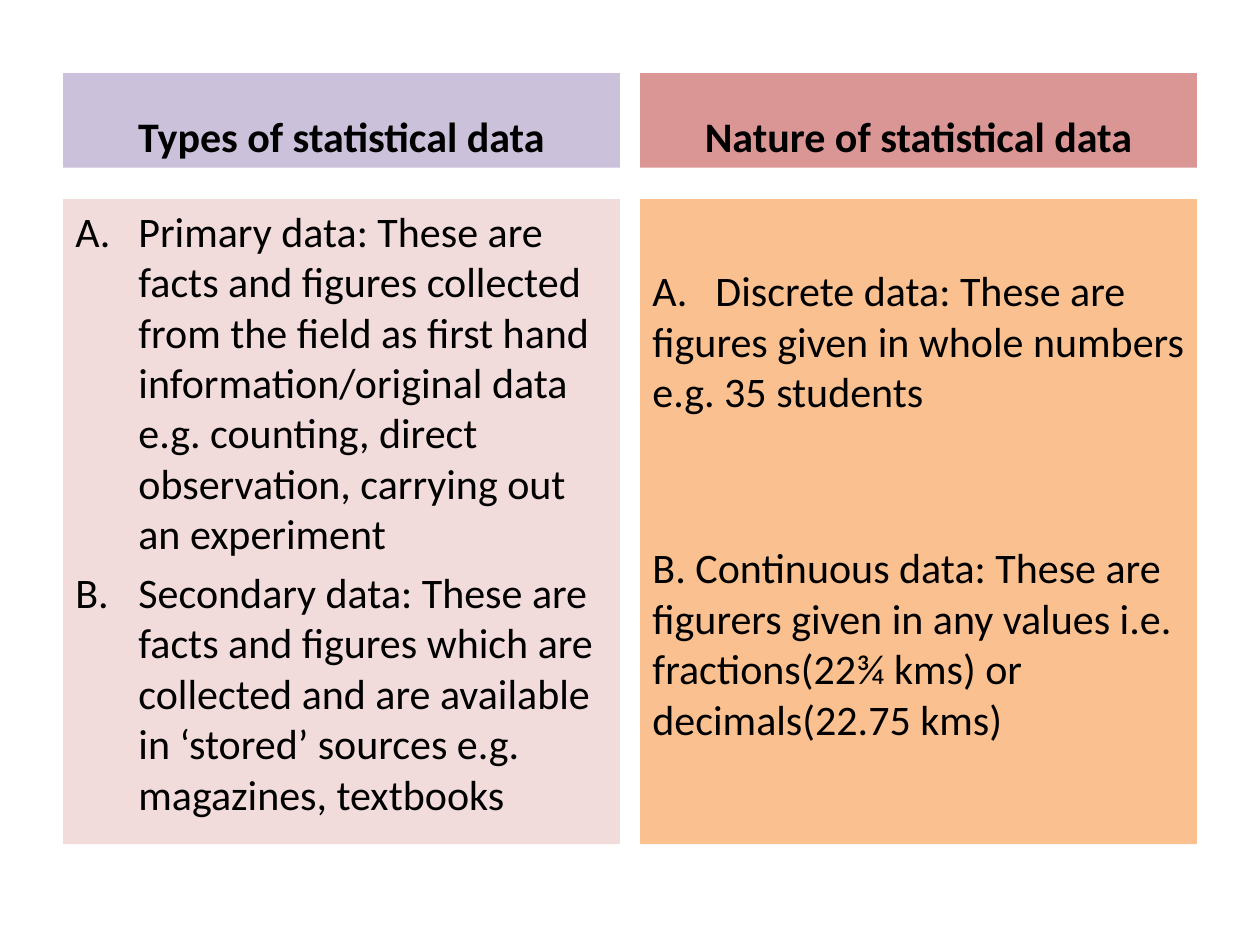
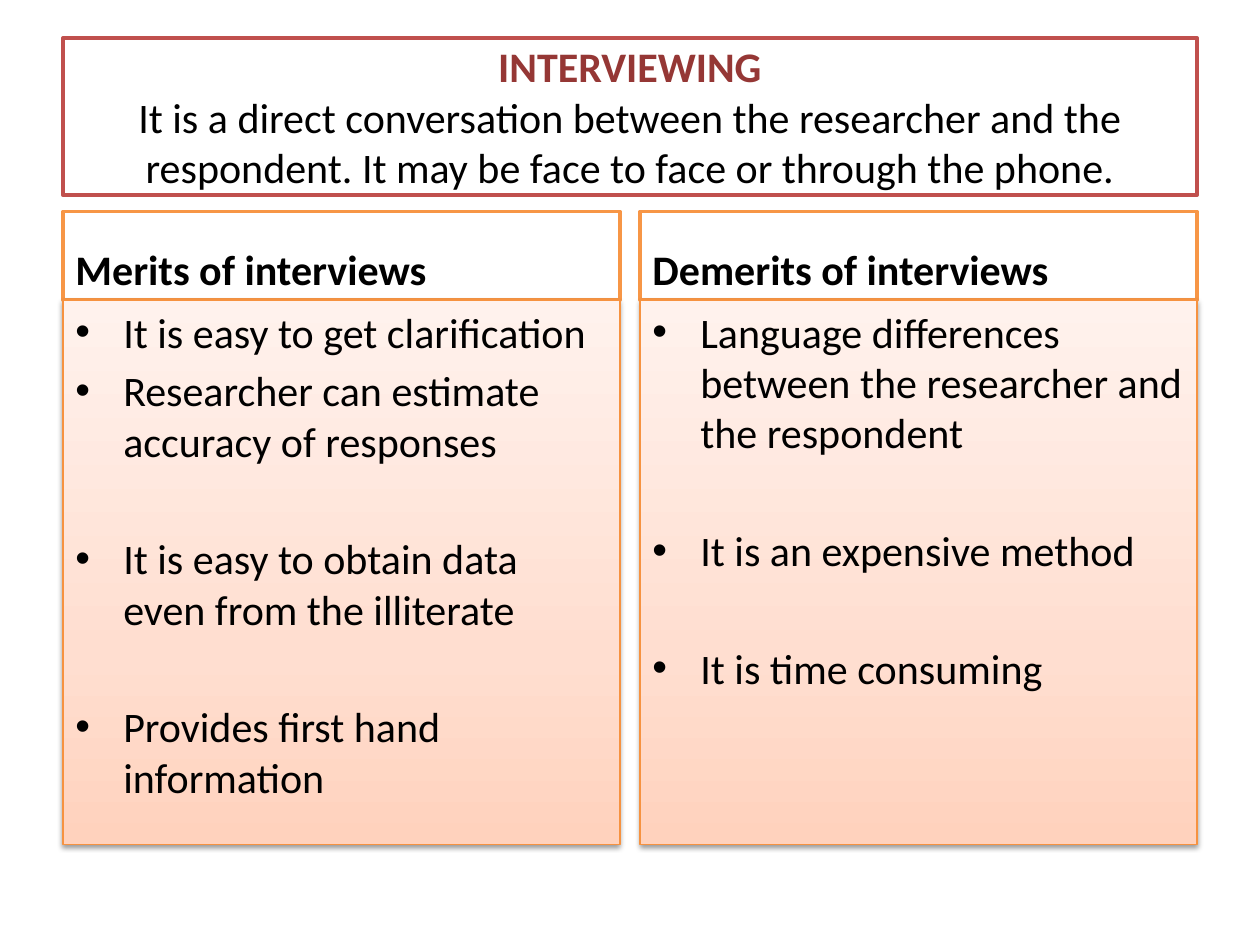
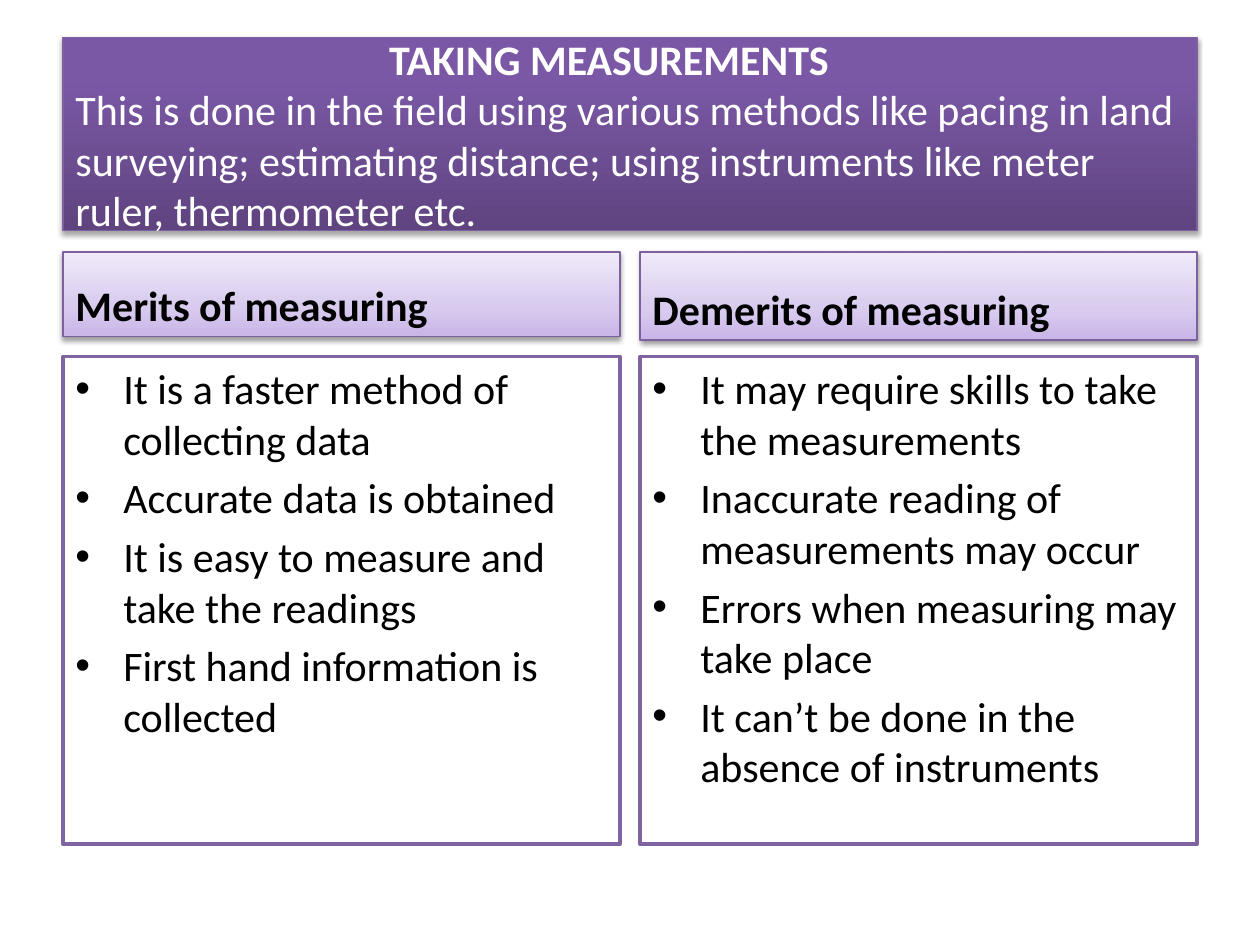
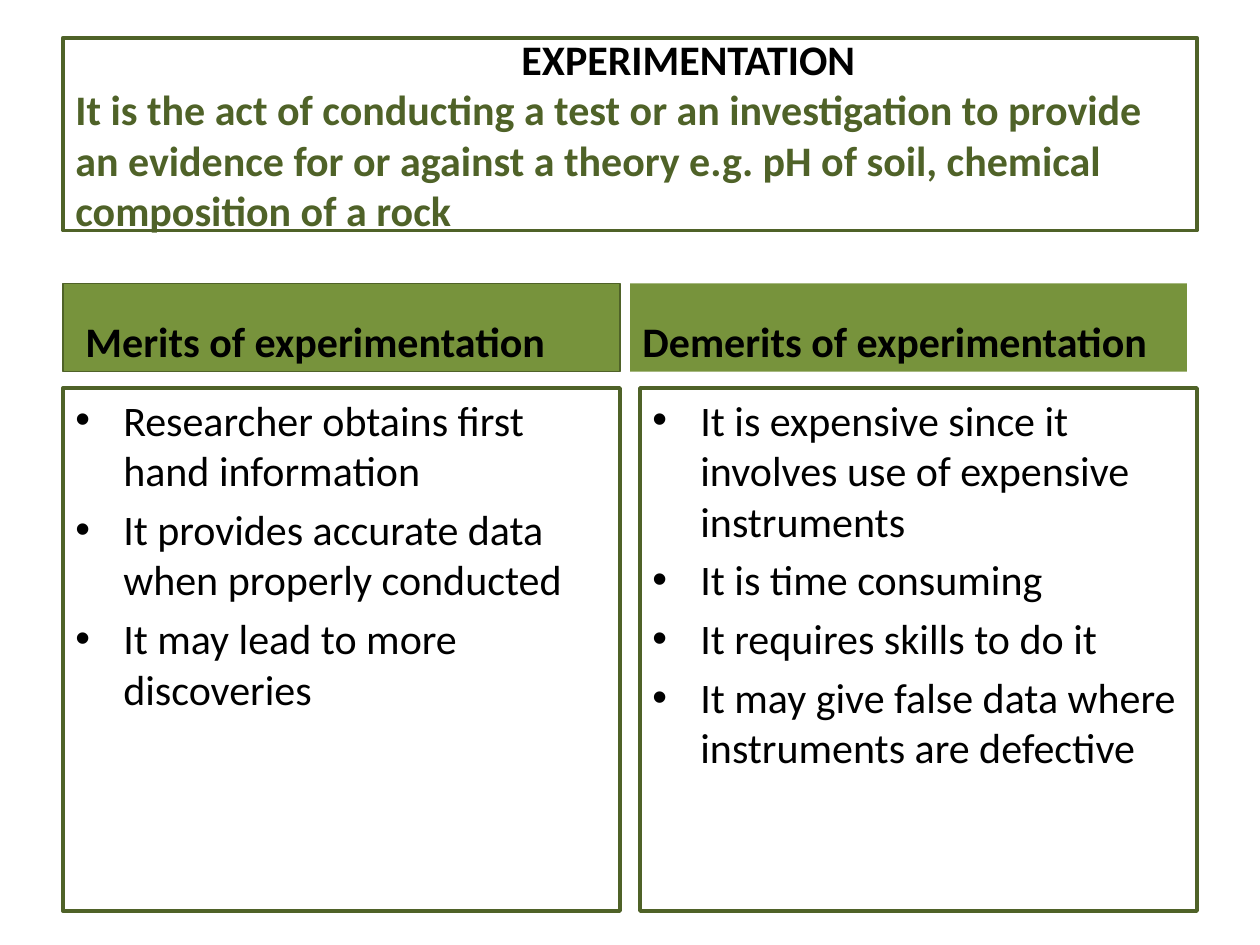
from dataclasses import dataclass, replace
from typing import Optional, Union

from lxml.etree import SubElement
from pptx import Presentation
from pptx.dml.color import RGBColor
from pptx.enum.shapes import MSO_SHAPE as Preset
from pptx.enum.text import MSO_ANCHOR as Anchor, PP_ALIGN as Align
from pptx.oxml.ns import qn
from pptx.util import Inches, Pt

BLACK = RGBColor(0x00, 0x00, 0x00)
WHITE = RGBColor(0xFF, 0xFF, 0xFF)
LILAC = RGBColor(0xCC, 0xC1, 0xDA)
ROSE = RGBColor(0xD9, 0x96, 0x94)
BLUSH = RGBColor(0xF2, 0xDC, 0xDB)
PEACH = RGBColor(0xFA, 0xC0, 0x90)
RED = RGBColor(0xC0, 0x50, 0x4D)
DARK_RED = RGBColor(0x95, 0x37, 0x35)
ORANGE = RGBColor(0xF7, 0x96, 0x46)
DEEP_ORANGE = RGBColor(0xF6, 0x92, 0x40)
PURPLE = RGBColor(0x80, 0x64, 0xA2)
SOFT_PURPLE = RGBColor(0x7D, 0x60, 0xA0)
GREEN = RGBColor(0x77, 0x93, 0x3C)
DARK_GREEN = RGBColor(0x4F, 0x62, 0x28)

ORANGE_FADE = ((0, RGBColor(0xFF, 0xD2, 0xBD)), (35, RGBColor(0xFF, 0xDE, 0xD0)),
               (100, RGBColor(0xFF, 0xF2, 0xED)))
LILAC_FADE = ((0, RGBColor(0xC9, 0xB5, 0xE8)), (35, RGBColor(0xD8, 0xCB, 0xEE)),
              (100, RGBColor(0xF0, 0xEA, 0xF9)))
PURPLE_FADE = ((0, RGBColor(0x5F, 0x44, 0x80)), (80, RGBColor(0x7B, 0x58, 0xA6)),
               (100, RGBColor(0x7C, 0x57, 0xA8)))

LEFT, RIGHT, COLUMN_WIDTH, TITLE_WIDTH = 0.5, 5.08, 4.42, 9
TITLE_TOP = 0.3
GAP = 4.8
ROW = 33.6
WIDE_GAP = GAP + ROW
BASE_FONT = {"name": "Calibri", "size": Pt(24)}


@dataclass(frozen=True)
class Shadow:
    """A soft shadow that falls straight down."""
    opacity: int
    distance: float
    blur: float = 3.1


@dataclass(frozen=True)
class Look:
    """Fill, outline and shadow of a panel."""
    fill: Union[RGBColor, tuple, None] = None
    outline: Optional[RGBColor] = None
    weight: float = 0.75
    shadow: Optional[Shadow] = None


@dataclass(frozen=True)
class Para:
    """One paragraph with its format."""
    text: str
    bold: bool = False
    color: RGBColor = BLACK
    align: Align = Align.LEFT
    before: float = 0
    margin: float = 0
    marker: str = ""
    tab: float = 0


@dataclass(frozen=True)
class Panel:
    """A rectangle with text; lengths are in inches."""
    left: float
    top: float
    width: float
    height: float
    look: Look
    paras: tuple
    anchor: Anchor = Anchor.TOP
    inset_top: float = 0.05


SOFT = Shadow(38, 1.6)
ORANGE_BOX = Look(WHITE, ORANGE, 2)
ORANGE_GLOW = Look(ORANGE_FADE, DEEP_ORANGE, shadow=SOFT)
LILAC_GLOW = Look(LILAC_FADE, SOFT_PURPLE, shadow=SOFT)
PURPLE_GLOW = Look(PURPLE_FADE, SOFT_PURPLE, shadow=Shadow(35, 1.8))
PURPLE_BOX = Look(WHITE, PURPLE, 2)
GREEN_BOX = Look(None, DARK_GREEN, 2.25)


def title(height: float, look: Look, *paras: Para) -> Panel:
    """Describe the full-width title panel."""
    return Panel(LEFT, TITLE_TOP, TITLE_WIDTH, height, look, paras, Anchor.MIDDLE)


def heading(left: float, top: float, height: float, look: Look, text: str,
            align: Align = Align.LEFT, margin: float = 0) -> Panel:
    """Describe the bold heading of a column."""
    label = Para(text, bold=True, align=align, margin=margin)
    return Panel(left, top, COLUMN_WIDTH, height, look, (label,), Anchor.BOTTOM)


def body(left: float, top: float, height: float, look: Look, *paras: Para,
         inset_top: float = 0.05) -> Panel:
    """Describe the text panel of a column."""
    first = replace(paras[0], before=0)
    return Panel(left, top, COLUMN_WIDTH, height, look, (first, *paras[1:]),
                 inset_top=inset_top)


def bullets(*texts: str, gaps: tuple = ()) -> tuple:
    """Make bulleted paragraphs, with wide gaps before the given indexes."""
    return tuple(Para(text, before=WIDE_GAP if index in gaps else GAP,
                      margin=0.38, marker="•")
                 for index, text in enumerate(texts))


def lettered(*texts: str) -> tuple:
    """Make paragraphs numbered with capital letters."""
    return tuple(Para(text, before=GAP, margin=0.5, marker="A.") for text in texts)


def add_color(parent, color: RGBColor):
    """Append an sRGB colour element."""
    return SubElement(parent, qn("a:srgbClr"), val=str(color))


def paint(shape, look: Look) -> None:
    """Apply fill, outline and shadow."""
    if look.fill is None:
        shape.fill.background()
    elif isinstance(look.fill, RGBColor):
        shape.fill.solid()
        shape.fill.fore_color.rgb = look.fill
    else:
        shape.fill.gradient()
        shape.fill.gradient_angle = 90
        stops = shape._element.spPr.find(qn("a:gradFill")).find(qn("a:gsLst"))
        for stop in list(stops):
            stops.remove(stop)
        for position, color in look.fill:
            add_color(SubElement(stops, qn("a:gs"), pos=str(position * 1000)), color)
    if look.outline is None:
        shape.line.fill.background()
    else:
        shape.line.color.rgb = look.outline
        shape.line.width = Pt(look.weight)
    shape.shadow.inherit = False
    if look.shadow:
        effects = shape._element.spPr.find(qn("a:effectLst"))
        outer = SubElement(effects, qn("a:outerShdw"), blurRad=str(Pt(look.shadow.blur)),
                           dist=str(Pt(look.shadow.distance)), dir="5400000",
                           rotWithShape="0")
        SubElement(add_color(outer, BLACK), qn("a:alpha"),
                   val=str(look.shadow.opacity * 1000))


def write(paragraph, para: Para) -> None:
    """Fill a paragraph with formatted text."""
    props = paragraph._p.get_or_add_pPr()
    props.set("marL", str(Inches(para.margin)))
    props.set("indent", str(Inches(-para.margin if para.marker else 0)))
    if para.marker == "A.":
        SubElement(props, qn("a:buFont"), typeface="+mj-lt")
        SubElement(props, qn("a:buAutoNum"), type="alphaUcPeriod")
    elif para.marker:
        SubElement(props, qn("a:buFont"), typeface="Arial")
        SubElement(props, qn("a:buChar"), char=para.marker)
    else:
        SubElement(props, qn("a:buNone"))
    if para.tab:
        tabs = SubElement(props, qn("a:tabLst"))
        SubElement(tabs, qn("a:tab"), pos=str(Inches(para.tab)), algn="l")
    paragraph.alignment = para.align
    paragraph.space_before = Pt(para.before)
    run = paragraph.add_run()
    run.text = para.text
    for key, value in {**BASE_FONT, "bold": para.bold}.items():
        setattr(run.font, key, value)
    run.font.color.rgb = para.color


def draw(slide, panel: Panel) -> None:
    """Draw one panel on the slide."""
    shape = slide.shapes.add_shape(
        Preset.RECTANGLE, Inches(panel.left), Inches(panel.top),
        Inches(panel.width), Inches(panel.height))
    paint(shape, panel.look)
    frame = shape.text_frame
    settings = {"word_wrap": True, "vertical_anchor": panel.anchor,
                "margin_left": Inches(0.1), "margin_right": Inches(0.1),
                "margin_top": Inches(panel.inset_top), "margin_bottom": Inches(0.05)}
    for key, value in settings.items():
        setattr(frame, key, value)
    for index, para in enumerate(panel.paras):
        write(frame.add_paragraph() if index else frame.paragraphs[0], para)


DATA_KINDS = (
    heading(LEFT, 0.58, 0.75, Look(LILAC), "Types of statistical data", Align.CENTER),
    body(LEFT, 1.58, 5.12, Look(BLUSH), *lettered(
        "Primary data: These are facts and figures collected from the field as first "
        "hand information/original data e.g. counting, direct observation, carrying "
        "out an experiment",
        "Secondary data: These are facts and figures which are collected and are "
        "available in ‘stored’ sources e.g. magazines, textbooks")),
    heading(RIGHT, 0.58, 0.75, Look(ROSE), "Nature of statistical data", Align.CENTER),
    body(RIGHT, 1.58, 5.12, Look(PEACH),
         Para("A.\tDiscrete data: These are figures given in whole numbers e.g. "
              "35 students", tab=0.43),
         Para("B. Continuous data: These are figurers given in any values i.e. "
              "fractions(22¾ kms) or decimals(22.75 kms)", before=GAP + 2 * ROW),
         inset_top=0.52),
)

INTERVIEWING = (
    title(1.25, Look(WHITE, RED, 2),
          Para("INTERVIEWING", True, DARK_RED, Align.CENTER),
          Para("It is a direct conversation between the researcher and the respondent. "
               "It may be face to face or through the phone.", align=Align.CENTER)),
    heading(LEFT, 1.68, 0.7, ORANGE_BOX, "Merits of interviews"),
    body(LEFT, 2.38, 4.32, ORANGE_GLOW, *bullets(
        "It is easy to get clarification",
        "Researcher can estimate accuracy of responses",
        "It is easy to obtain data even from the illiterate",
        "Provides first hand information", gaps=(2, 3))),
    heading(RIGHT, 1.68, 0.7, ORANGE_BOX, "Demerits of interviews"),
    body(RIGHT, 2.38, 4.32, ORANGE_GLOW, *bullets(
        "Language differences between the researcher and the respondent",
        "It is an expensive method",
        "It is time consuming", gaps=(1, 2))),
)

MEASUREMENTS = (
    title(1.53, PURPLE_GLOW,
          Para("TAKING MEASUREMENTS", True, WHITE, margin=2.49),
          Para("This is done in the field using various methods like pacing in land "
               "surveying; estimating distance; using instruments like meter ruler, "
               "thermometer etc.", color=WHITE)),
    heading(LEFT, 2, 0.67, LILAC_GLOW, "Merits of measuring"),
    body(LEFT, 2.83, 3.87, PURPLE_BOX, *bullets(
        "It is a faster method of collecting data",
        "Accurate data is obtained",
        "It is easy to measure and take the readings",
        "First hand information is collected")),
    heading(RIGHT, 2, 0.7, LILAC_GLOW, "Demerits of measuring"),
    body(RIGHT, 2.83, 3.87, PURPLE_BOX, *bullets(
        "It may require skills to take the measurements",
        "Inaccurate reading of measurements may occur",
        "Errors when measuring may take place",
        "It can’t be done in the absence of instruments")),
)

EXPERIMENTATION = (
    title(1.53, GREEN_BOX,
          Para("EXPERIMENTATION", True, margin=3.54),
          Para("It is the act of conducting a test or an investigation to provide an "
               "evidence for or against a theory e.g. pH of soil, chemical composition "
               "of a rock", True, DARK_GREEN)),
    heading(LEFT, 2.25, 0.7, Look(GREEN, DARK_GREEN), "Merits of experimentation",
            margin=0.08),
    body(LEFT, 3.08, 4.15, GREEN_BOX, *bullets(
        "Researcher obtains first hand information",
        "It provides accurate data when properly conducted",
        "It may lead to more discoveries")),
    heading(5, 2.25, 0.7, Look(GREEN), "Demerits of experimentation"),
    body(RIGHT, 3.08, 4.15, GREEN_BOX, *bullets(
        "It is expensive since it involves use of expensive instruments",
        "It is time consuming",
        "It requires skills to do it",
        "It may give false data where instruments are defective")),
)


def main() -> None:
    """Build and save the presentation."""
    deck = Presentation()
    deck.slide_width, deck.slide_height = Inches(10), Inches(7.5)
    for panels in (DATA_KINDS, INTERVIEWING, MEASUREMENTS, EXPERIMENTATION):
        slide = deck.slides.add_slide(deck.slide_layouts[6])
        for panel in panels:
            draw(slide, panel)
    deck.save("out.pptx")


if __name__ == "__main__":
    main()
